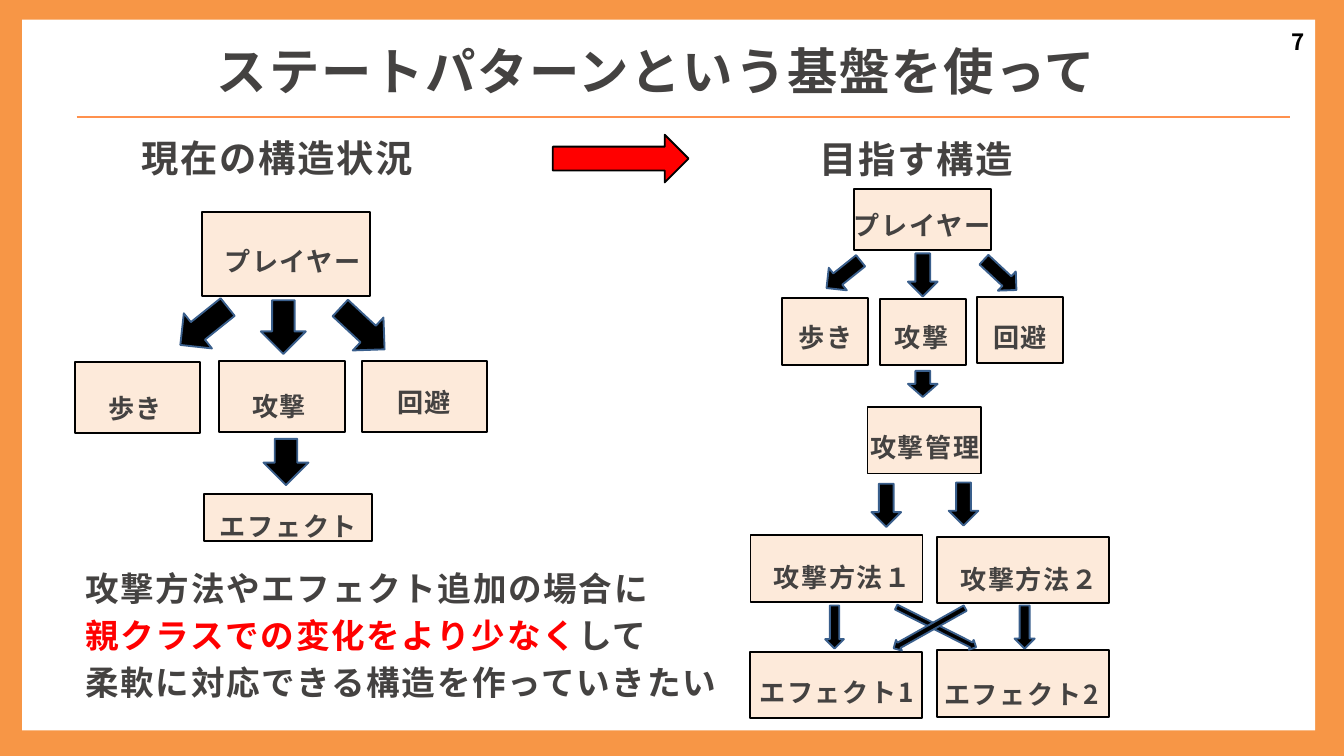
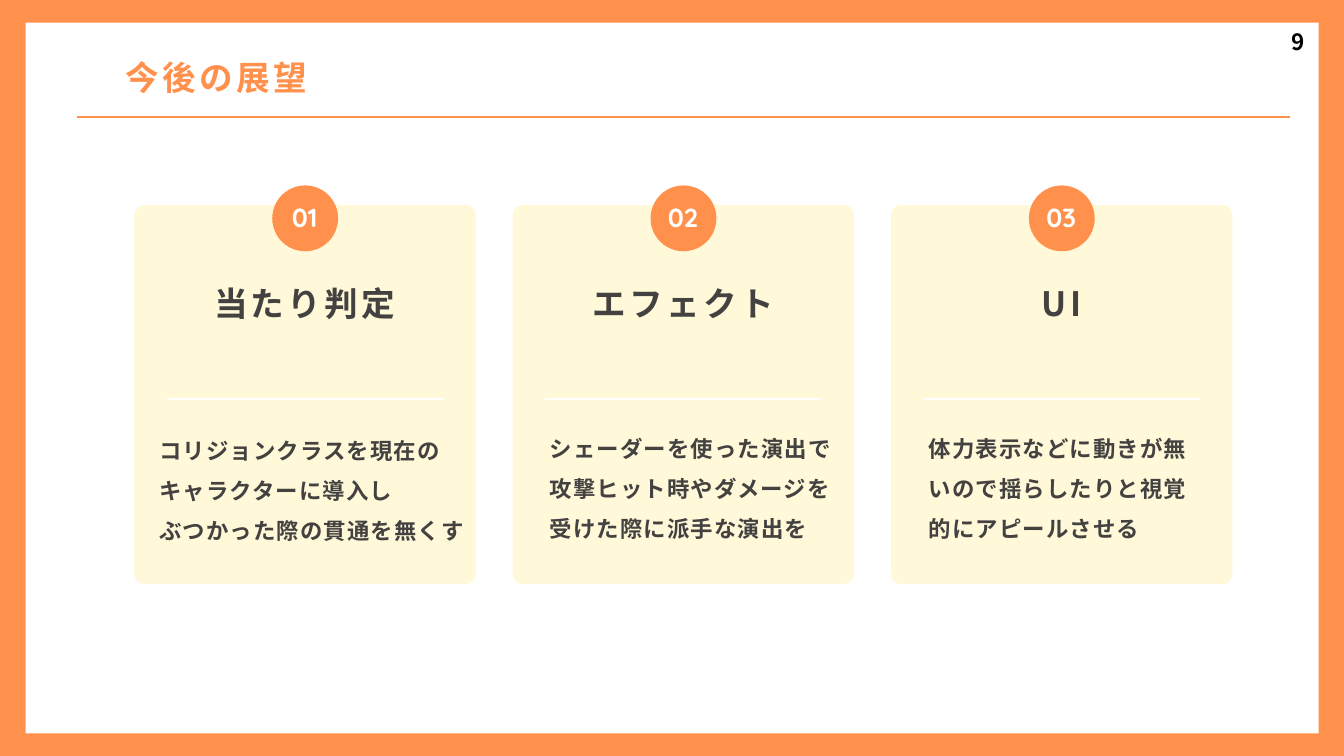
from lxml import etree
from pptx import Presentation
from pptx.dml.color import RGBColor
from pptx.enum.shapes import MSO_CONNECTOR, MSO_SHAPE
from pptx.enum.text import MSO_ANCHOR, MSO_AUTO_SIZE, PP_ALIGN
from pptx.oxml.ns import qn
from pptx.util import Cm, Pt

RECT = MSO_SHAPE.RECTANGLE
ROUND = MSO_SHAPE.ROUNDED_RECTANGLE
OVAL = MSO_SHAPE.OVAL
DOWN = MSO_SHAPE.DOWN_ARROW
STRAIGHT = MSO_CONNECTOR.STRAIGHT
TOP = MSO_ANCHOR.TOP
FIT = MSO_AUTO_SIZE.SHAPE_TO_FIT_TEXT
LEFT = PP_ALIGN.LEFT
CENTER = PP_ALIGN.CENTER

AMBER = RGBColor(0xF7, 0x96, 0x46)
ORANGE = RGBColor(0xFF, 0x91, 0x4D)
PEACH = RGBColor(0xFD, 0xEA, 0xDA)
CREAM = RGBColor(0xFF, 0xF8, 0xD9)
WHITE = RGBColor(0xFF, 0xFF, 0xFF)
BLACK = RGBColor(0, 0, 0)
GRAY = RGBColor(0x44, 0x42, 0x41)
BLUE = RGBColor(0x3A, 0x5F, 0x8C)
RED = RGBColor(0xFF, 0, 0)

SANS = "Noto Sans CJK JP"
ROUNDED = "Quicksand"
TITLE_ONLY = 5

NODES = [
    ("プレイヤー", (7.65, 8, 6.35, 3.18), (8.48, 8.69)),
    ("歩き", (2.82, 13.69, 4.75, 2.67), (4.09, 14.25)),
    ("攻撃", (8.28, 13.64, 4.75, 2.69), (9.53, 14.15)),
    ("回避", (13.67, 13.64, 4.75, 2.69), (15.01, 14.02)),
    ("エフェクト", (7.7, 18.67, 6.35, 1.78), (8.31, 18.72)),
    ("プレイヤー", (32.28, 7.16, 5.18, 2.29), (32.28, 7.32)),
    ("歩き", (29.57, 11.28, 3.25, 2.51), (30.2, 11.56)),
    ("攻撃", (33.25, 11.3, 3.25, 2.51), (33.81, 11.56)),
    ("回避", (36.93, 11.23, 3.25, 2.51), (37.54, 11.56)),
    ("攻撃管理", (32.79, 15.39, 4.29, 2.51), (32.89, 15.72)),
    ("攻撃方法１", (28.37, 20.24, 6.5, 2.51), (29.24, 20.62)),
    ("攻撃方法２", (35.41, 20.29, 6.5, 2.51), (36.3, 20.7)),
    ("エフェクト1", (28.35, 24.64, 6.5, 2.51), (28.7, 24.97), 6.3),
    ("エフェクト2", (35.41, 24.59, 6.5, 2.51), (35.69, 25.04), 6.1),
]

ARROWS = [
    ((9.86, 11.35, 1.7, 2.03), 0),
    ((9.96, 16.59, 1.7, 1.75), 0),
    ((6.86, 11.18, 1.7, 2.29), 51.3),
    ((12.85, 11.28, 1.7, 2.29), 313),
    ((34.32, 9.58, 1.12, 1.63), 0),
    ((31.34, 9.55, 1.09, 1.65), 51.3),
    ((37.31, 9.55, 0.99, 1.68), 313),
    ((34.32, 14.02, 1.12, 0.99), 0),
    ((32.94, 18.29, 1.12, 1.63), 0),
    ((35.86, 18.24, 1.12, 1.63), 0),
    ((31.19, 22.89, 0.71, 1.63), 0),
    ((38.35, 22.89, 0.76, 1.63), 0),
    ((35.18, 22.02, 0.41, 3.38), 296.7),
    ((34.9, 22.2, 0.46, 3.1), 60.7),
]

CARDS = [
    ("当たり判定", (0.94, 16, 11.99),
     ["コリジョンクラスを現在のキャラクターに導入し", "ぶつかった際の貫通を無くす"]),
    ("エフェクト", (1.4, 15.93, 10.97),
     ["シェーダーを使った演出で", "攻撃ヒット時やダメージを受けた際に派手な演出を"]),
    ("UI", (1.42, 15.93, 10.08),
     ["体力表示などに動きが無いので揺らしたりと視覚的にアピールさせる"]),
]


class Deck:
    def __init__(self):
        self.prs = Presentation()
        self.prs.slide_width = Cm(50.8)
        self.prs.slide_height = Cm(28.58)
        self.slide = None

    def page(self, back, corner, number):
        layout = self.prs.slide_layouts[TITLE_ONLY]
        self.slide = self.prs.slides.add_slide(layout)
        fill = self.slide.background.fill
        fill.solid()
        fill.fore_color.rgb = back
        frame = self.shape(RECT, (*corner, 48.87, 26.87), WHITE)
        self.slide.shapes._spTree.insert(2, frame._element)
        self.line(2.9, 48.77, 4.42, ORANGE)
        self.text((48.82, 0.89, 1.9, 1.14), [number], 24, BLACK, 1.2, 33.6)

    def title(self, box, words, size, color, gap):
        item = self.slide.shapes.title
        item.left, item.top, item.width, item.height = map(Cm, box)
        self.fill_text(item, [words], size, color, gap)

    def text(self, box, paras, *style, **more):
        item = self.slide.shapes.add_textbox(*map(Cm, box))
        self.fill_text(item, paras, *style, **more)

    def fill_text(self, item, paras, size, color=GRAY, gap=1.8, pitch=50.4,
                  align=LEFT, face=SANS):
        frame = item.text_frame
        frame.word_wrap = True
        frame.auto_size = FIT
        frame.vertical_anchor = TOP
        frame.margin_left = frame.margin_right = Cm(0)
        frame.margin_top = frame.margin_bottom = Cm(0)
        for i, runs in enumerate(paras):
            para = frame.add_paragraph() if i else frame.paragraphs[0]
            para.alignment = align
            para.line_spacing = Pt(pitch)
            para.space_before = Pt(0)
            if isinstance(runs, str):
                runs = [(runs, color)]
            for words, tint in runs:
                run = para.add_run()
                run.text = words
                font = run.font
                font.size = Pt(size)
                font.bold = True
                font.color.rgb = tint
                font.name = face
                props = run._r.get_or_add_rPr()
                props.set("spc", str(round(gap * 100)))
                etree.SubElement(props, qn("a:ea")).set("typeface", face)

    def shape(self, kind, box, fill, edge=None, turn=0):
        item = self.slide.shapes.add_shape(kind, *map(Cm, box))
        item.shadow.inherit = False
        item.fill.solid()
        item.fill.fore_color.rgb = fill
        item.rotation = turn
        if edge is None:
            item.line.fill.background()
        else:
            item.line.color.rgb = edge
            item.line.width = Pt(2)
        return item

    def line(self, start, end, y, color):
        item = self.slide.shapes.add_connector(
            STRAIGHT, Cm(start), Cm(y), Cm(end), Cm(y))
        item.line.color.rgb = color
        item.line.width = Pt(2.25)
        etree.SubElement(item._element.spPr, qn("a:effectLst"))

    def node(self, words, box, spot, wide=5.6):
        self.shape(RECT, box, PEACH, BLACK)
        self.text((*spot, wide, 1.78), [words], 28)

    def card(self, index, head, place, body):
        left = 5.08 + 14.3 * index
        shift, top, wide = place
        panel = self.shape(ROUND, (left, 7.75, 12.9, 14.33), CREAM)
        panel.adjustments[0] = 0.03
        self.text((left + 1.04, 10.44, 10.8, 1.65), [head], 36, gap=3.6,
                  align=CENTER)
        self.shape(OVAL, (left + 5.21, 7.01, 2.49, 2.49), ORANGE)
        self.text((left + 5.51, 7.42, 1.85, 1.5), [f"{index + 1:02}"], 28,
                  WHITE, 0, 39.2, align=CENTER, face=ROUNDED)
        self.text((left + shift, top, wide, 4.6), body, 24, GRAY, 1.2, 43.2)
        self.line(left + 1.22, left + 11.66, 15.09, WHITE)


def design(deck):
    deck.page(AMBER, (0.84, 0.74), "7")
    deck.title((8.2, 2.01, 33.66, 1.78), "ステートパターンという基盤を使って",
               54, GRAY, 1.8)
    deck.text((5.36, 5.03, 10.59, 1.78), ["現在の構造状況"], 40)
    deck.text((30.99, 5.05, 12.07, 1.78), ["目指す構造"], 40)
    for node in NODES:
        deck.node(*node)
    for box, turn in ARROWS:
        deck.shape(DOWN, box, BLACK, BLUE, turn)
    deck.text((3.23, 21.23, 26.75, 5.33), [
        "攻撃方法やエフェクト追加の場合に",
        [("親クラスでの変化をより少なく", RED), ("して", GRAY)],
        "柔軟に対応できる構造を作っていきたい",
    ], 36)
    deck.shape(DOWN, (22.56, 3.43, 1.8, 5.13), RED, BLACK, 270)


def outlook(deck):
    deck.page(ORANGE, (0.97, 0.86), "9")
    deck.title((4.75, 1.9, 41.2, 1.7), "今後の展望", 36, ORANGE, 3.6)
    for index, card in enumerate(CARDS):
        deck.card(index, *card)


def main():
    deck = Deck()
    design(deck)
    outlook(deck)
    deck.prs.save("out.pptx")


if __name__ == "__main__":
    main()
